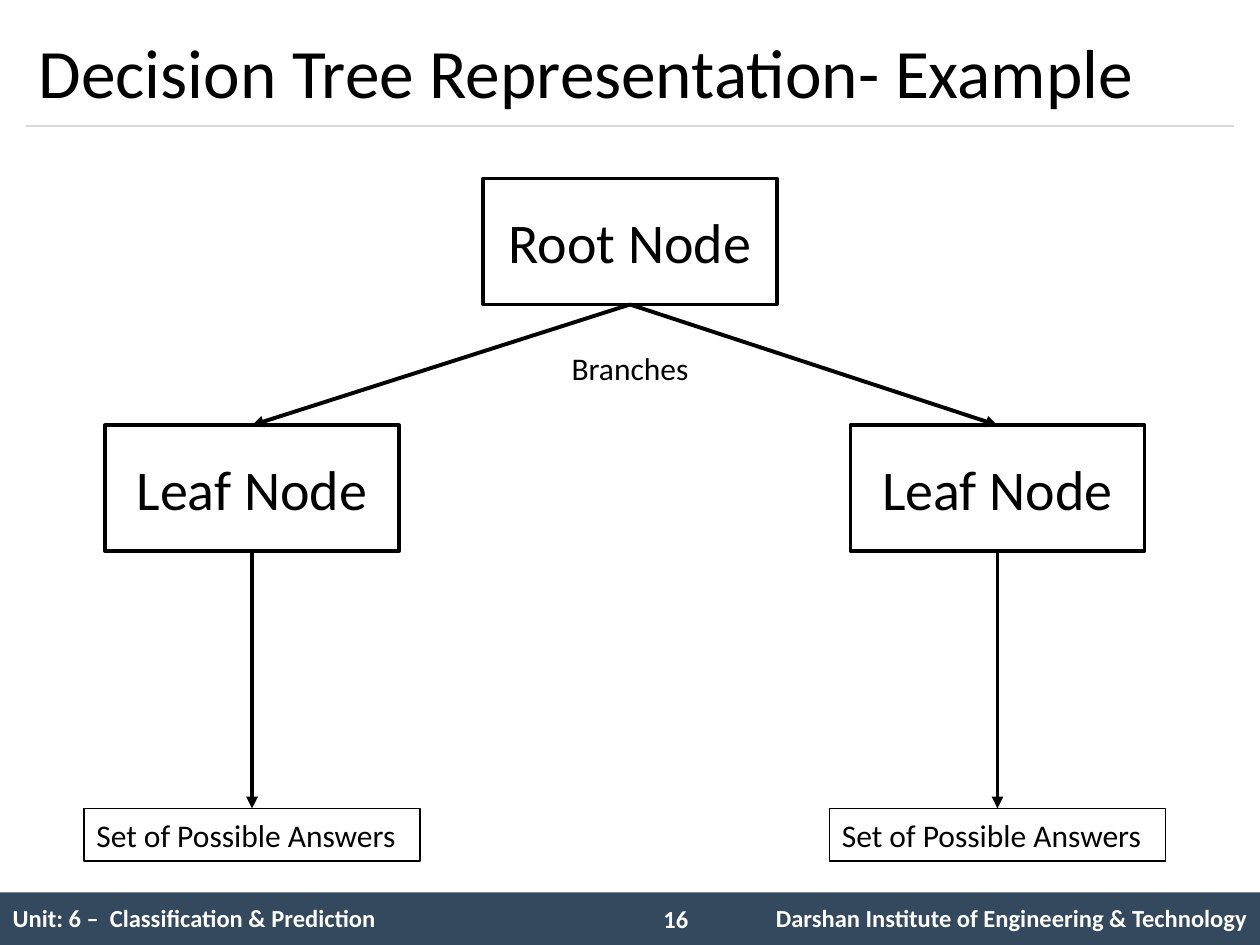
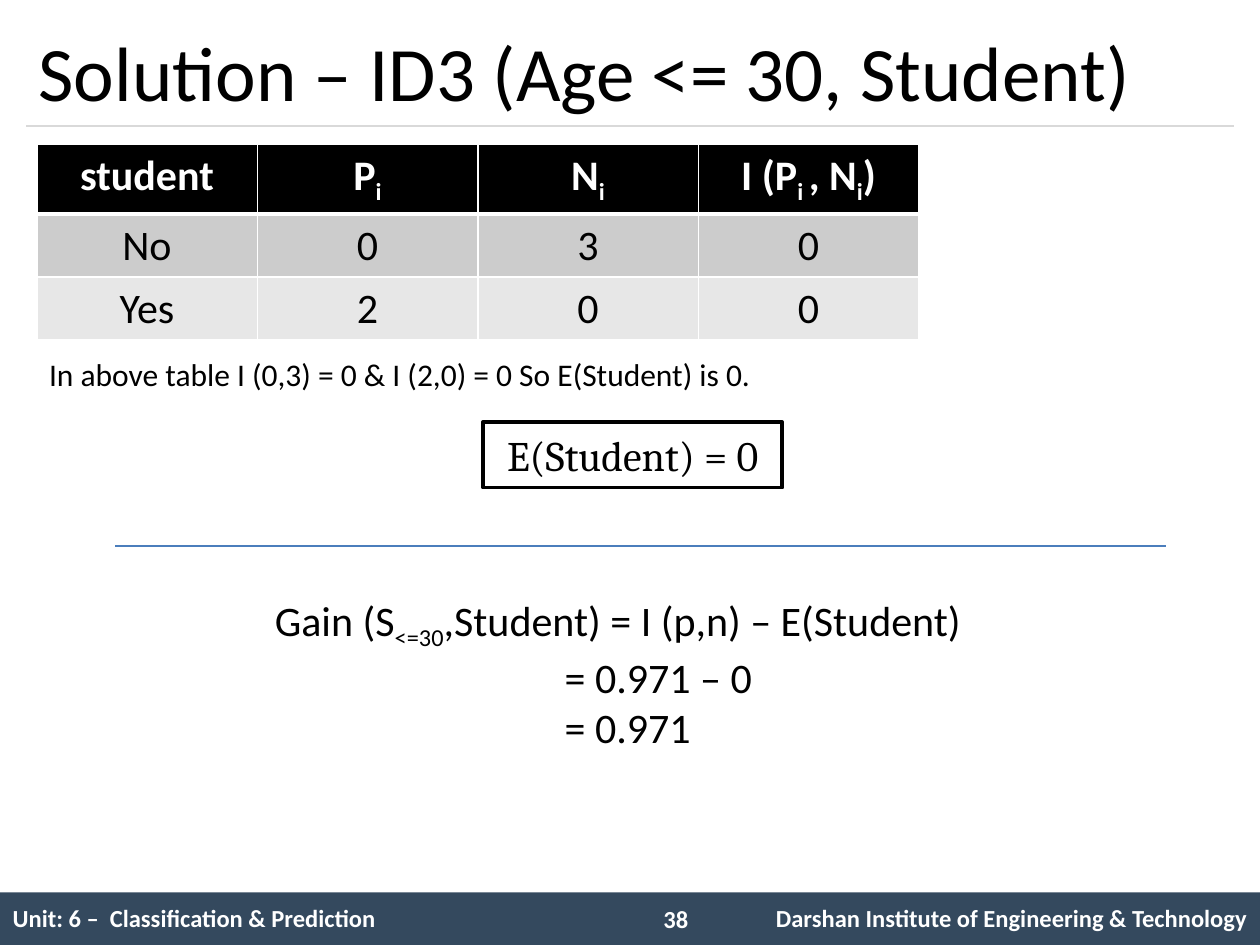
from lxml.etree import SubElement
from pptx import Presentation
from pptx.dml.color import RGBColor
from pptx.enum.shapes import MSO_CONNECTOR, MSO_SHAPE
from pptx.enum.text import MSO_ANCHOR, PP_ALIGN
from pptx.oxml.ns import qn
from pptx.util import Inches, Pt

# Shared look
COLORS = {"ink": "000000", "paper": "FFFFFF", "band": "34495E", "rule": "D9D9D9",
          "divider": "4B7EBC", "row_dark": "CCCCCC", "row_light": "E7E7E7"}
RGB = {name: RGBColor.from_string(code) for name, code in COLORS.items()}
FORMATS = {
    "title": {"name": "Calibri", "size": Pt(44), "bold": False},
    "long_title": {"name": "Calibri", "size": Pt(39.6), "bold": False},
    "node": {"name": "Calibri", "size": Pt(32), "bold": False},
    "note": {"name": "Calibri", "size": Pt(18), "bold": False},
    "formula": {"name": "Calibri", "size": Pt(24), "bold": False},
    "result": {"name": "Cambria", "size": Pt(24), "bold": False},
    "header": {"name": "Calibri", "size": Pt(24), "bold": True},
    "footer": {"name": "Calibri", "size": Pt(14), "bold": True},
}
LEFT, CENTER, RIGHT = PP_ALIGN.LEFT, PP_ALIGN.CENTER, PP_ALIGN.RIGHT
NO_GRID_STYLE = "{2D5ABB26-0587-4C30-8999-92F81FD0307C}"

# Square grid: 24 columns by 18 rows
deck = Presentation()
deck.slide_width, deck.slide_height = Inches(10), Inches(7.5)
UNIT = deck.slide_width / 24


def write(paragraph, pieces, style, align=LEFT, color="ink"):
    """Write pieces into a paragraph; every second piece is a subscript."""
    paragraph.alignment = align
    for index, piece in enumerate(pieces):
        run = paragraph.add_run()
        run.text = piece
        for name, value in FORMATS[style].items():
            setattr(run.font, name, value)
        run.font.color.rgb = RGB[color]
        if index % 2:
            run.font._element.set("baseline", "-25000")


def add_box(slide, area, text, style, align=LEFT, color="ink", outline=0):
    """Add a text box, or a white outlined rectangle, at grid units."""
    place = [round(length * UNIT) for length in area]
    if outline:
        box = slide.shapes.add_shape(MSO_SHAPE.RECTANGLE, *place)
        box.shadow.inherit = False
        box.fill.solid()
        box.fill.fore_color.rgb = RGB["paper"]
        box.line.color.rgb = RGB["ink"]
        box.line.width = Pt(outline)
    else:
        box = slide.shapes.add_textbox(*place)
    box.text_frame.word_wrap = True
    box.text_frame.vertical_anchor = MSO_ANCHOR.MIDDLE
    write(box.text_frame.paragraphs[0], [text], style, align, color)
    return box.text_frame


# Title, rule and footer band of each slide
lines = []  # slide, start, end, color, width, arrow
slides = []
for title, style, number in (
    ("Decision Tree Representation- Example", "long_title", "16"),
    ("Solution – ID3 (Age <= 30, Student)", "title", "38"),
):
    slide = deck.slides.add_slide(deck.slide_layouts[6])
    slides.append(slide)
    band = slide.shapes.add_shape(MSO_SHAPE.RECTANGLE, 0, round(17 * UNIT),
                                  deck.slide_width, round(UNIT))
    band.shadow.inherit = False
    band.fill.solid()
    band.fill.fore_color.rgb = RGB["band"]
    band.line.fill.background()
    lines.append((slide, (0.5, 2.4), (23.5, 2.4), "rule", 0.75, False))

    footer = slide.shapes.add_table(1, 3, 0, round(17 * UNIT),
                                    deck.slide_width, round(UNIT)).table
    footer.first_row = footer.horz_banding = False
    footer._tbl.tblPr.find(qn("a:tableStyleId")).text = NO_GRID_STYLE
    for column, (width, text, align) in enumerate((
        (12.2, "Unit: 6 –  Classification & Prediction", LEFT),
        (1.6, "", LEFT),
        (10.2, "Darshan Institute of Engineering & Technology", RIGHT),
    )):
        footer.columns[column].width = round(width * UNIT)
        cell = footer.cell(0, column)
        cell.fill.background()
        cell.vertical_anchor = MSO_ANCHOR.MIDDLE
        write(cell.text_frame.paragraphs[0], [text], "footer", align, "paper")
    add_box(slide, (12.4, 17.1, 1.4, 0.8), number, "footer", color="paper")
    add_box(slide, (0.5, 0.3, 23, 2.1), title, style)
tree, solution = slides

# Decision tree: root, then leaves and their answers
NODE_W, NODE_H, ANSWER_W = 5.6, 2.4, 6.4
ROOT_X, ROOT_Y, LEAF_Y, ANSWER_Y = 12, 3.4, 8.1, 15.4
add_box(tree, (ROOT_X - NODE_W / 2, ROOT_Y, NODE_W, NODE_H), "Root Node", "node",
        CENTER, outline=2)
for leaf_x in (4.8, 19):
    add_box(tree, (leaf_x - NODE_W / 2, LEAF_Y, NODE_W, NODE_H), "Leaf Node", "node",
            CENTER, outline=2)
    add_box(tree, (leaf_x - ANSWER_W / 2, ANSWER_Y, ANSWER_W, 1),
            "Set of Possible Answers", "note", outline=0.75)
    lines.append((tree, (ROOT_X, ROOT_Y + NODE_H), (leaf_x, LEAF_Y), "ink", 2.25, True))
    lines.append((tree, (leaf_x, LEAF_Y + NODE_H), (leaf_x, ANSWER_Y), "ink", 2.25, True))
add_box(tree, (10.65, 6.53, 3.2, 0.96), "Branches", "note")

# Entropy table
entropy_rows = (
    (1.3, "ink", "header", "paper",
     (["student"], ["P", "i"], ["N", "i"], ["I (P", "i ", ", N", "i", ")"])),
    (1.2, "row_dark", "formula", "ink", (["No"], ["0"], ["3"], ["0"])),
    (1.2, "row_light", "formula", "ink", (["Yes"], ["2"], ["0"], ["0"])),
)
entropy = solution.shapes.add_table(
    3, 4, *[round(length * UNIT) for length in (0.7, 2.74, 16.8, 3.7)]).table
for row, (height, fill, style, color, entries) in enumerate(entropy_rows):
    entropy.rows[row].height = round(height * UNIT)
    for column, pieces in enumerate(entries):
        cell = entropy.cell(row, column)
        write(cell.text_frame.paragraphs[0], pieces, style, CENTER, color)
        borders = {"lnL": 1, "lnR": 1, "lnT": 3 if row == 1 else 1,
                   "lnB": 3 if row == 0 else 1}
        for side, width in borders.items():
            border = SubElement(cell._tc.get_or_add_tcPr(), qn(f"a:{side}"),
                                w=str(Pt(width)))
            SubElement(SubElement(border, qn("a:solidFill")), qn("a:srgbClr"),
                       val=COLORS["paper"])
        cell.fill.solid()
        cell.fill.fore_color.rgb = RGB[fill]

# Entropy result and information gain
add_box(solution, (0.7, 6.65, 22.7, 0.96),
        "In above table I (0,3) = 0 & I (2,0) = 0 So E(Student) is 0.", "note")
add_box(solution, (9.2, 8.04, 5.7, 1.25), "E(Student) = 0", "result", CENTER, outline=2)
lines.append((solution, (22.2, 10.4), (2.2, 10.4), "divider", 0.75, False))
gain = add_box(solution, (5, 11.2, 15.4, 3.15), "Gain (S", "formula")
gain.vertical_anchor = MSO_ANCHOR.TOP
gain.paragraphs[0].clear()
write(gain.paragraphs[0], ["Gain (S", "<=30", ",Student) = I (p,n) – E(Student)"],
      "formula")
for step in ("= 0.971 – 0", "= 0.971"):
    paragraph = gain.add_paragraph()
    properties = paragraph._p.get_or_add_pPr()
    properties.set("marL", str(Inches(2.3)))
    properties.set("indent", "0")
    write(paragraph, [step], "formula")

# Rules, branches and divider
for slide, start, end, color, width, arrow in lines:
    line = slide.shapes.add_connector(
        MSO_CONNECTOR.STRAIGHT, *[round(length * UNIT) for length in start + end])
    line.line.color.rgb = RGB[color]
    line.line.width = Pt(width)
    if arrow:
        SubElement(line.line._get_or_add_ln(), qn("a:tailEnd"), type="triangle")
    SubElement(line._element.spPr, qn("a:effectLst"))

deck.save("out.pptx")
